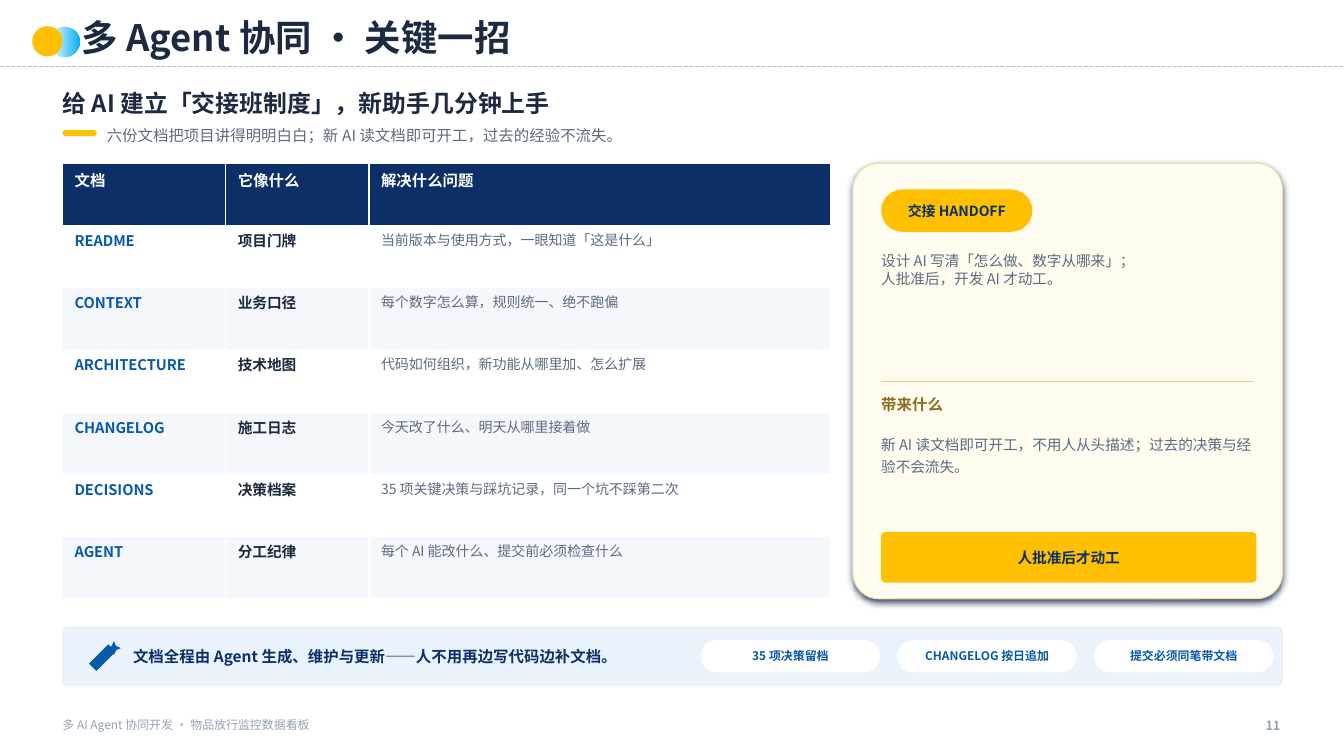
"""Build the slide on handover documents for multi-agent teamwork."""
from math import cos, pi, sin

from lxml.etree import SubElement
from pptx import Presentation
from pptx.dml.color import RGBColor
from pptx.enum.dml import MSO_LINE
from pptx.enum.shapes import MSO_CONNECTOR, MSO_SHAPE
from pptx.enum.text import MSO_ANCHOR, MSO_AUTO_SIZE, PP_ALIGN
from pptx.oxml.ns import qn
from pptx.util import Inches, Pt

FONT = "Noto Sans CJK SC"
WHITE = RGBColor(0xFF, 0xFF, 0xFF)
INK = RGBColor(0x1B, 0x2A, 0x41)
SLATE = RGBColor(0x5C, 0x6B, 0x82)
MUTED = RGBColor(0x97, 0xA2, 0xB3)
NAVY = RGBColor(0x0B, 0x2F, 0x66)
BLUE = RGBColor(0x08, 0x59, 0xA8)
SKY = RGBColor(0x01, 0xB0, 0xF0)
YELLOW = RGBColor(0xFF, 0xC0, 0x01)
BROWN = RGBColor(0x8A, 0x6D, 0x1F)
CREAM = RGBColor(0xFF, 0xFB, 0xEE)
SAND = RGBColor(0xF0, 0xDF, 0xA6)
DIVIDER = RGBColor(0xE4, 0xD2, 0x9A)
STRIPE = RGBColor(0xF4, 0xF7, 0xFC)
PALE_BLUE = RGBColor(0xEA, 0xF3, 0xFC)
PALE_LINE = RGBColor(0xCF, 0xE0, 0xF5)
GREY = RGBColor(0xBF, 0xBF, 0xBF)

LEFT, WIDTH = 0.62, 12.1
BODY_TOP, BODY_HEIGHT = 1.62, 4.32
CARD_LEFT, CARD_TEXT_LEFT, CARD_TEXT_WIDTH = 8.46, 8.74, 3.72
BAR_TOP, BAR_HEIGHT = 6.22, 0.58

presentation = Presentation()
presentation.slide_width, presentation.slide_height = Inches(13.33), Inches(7.5)
slide = presentation.slides.add_slide(presentation.slide_layouts[5])
shapes = slide.shapes


def write(shape, lines, size, color, bold=False, align=PP_ALIGN.LEFT,
          anchor=MSO_ANCHOR.MIDDLE, spacing=None):
    """Fill the shape with evenly formatted lines and no margins."""
    frame = shape.text_frame
    frame.text = lines
    frame.word_wrap, frame.auto_size = True, MSO_AUTO_SIZE.NONE
    frame.vertical_anchor = anchor
    frame.margin_left = frame.margin_right = frame.margin_top = frame.margin_bottom = 0
    for paragraph in frame.paragraphs:
        paragraph.alignment, paragraph.line_spacing = align, spacing
        font = paragraph.font
        font.name, font.size, font.bold = FONT, Pt(size), bold
        font.color.rgb = color
        SubElement(paragraph._p.pPr.find(qn("a:defRPr")), qn("a:ea"), typeface=FONT)


def add_panel(kind, left, top, width, height, fill, radius=None, line=None):
    """Add a flat filled shape, outlined only when a line colour is given."""
    shape = shapes.add_shape(kind, Inches(left), Inches(top), Inches(width), Inches(height))
    shape.shadow.inherit = False
    shape.fill.solid()
    shape.fill.fore_color.rgb = fill
    if radius is not None:
        shape.adjustments[0] = radius
    if line is None:
        shape.line.fill.background()
    else:
        shape.line.color.rgb = line
    return shape


for start, end, color, weight, dash in [
    ((0, 0.66), (13.33, 0.66), GREY, 1, MSO_LINE.SQUARE_DOT),
    ((0.92, 6.62), (1.11, 6.43), BLUE, 7.48, None),
]:
    connector = shapes.add_connector(MSO_CONNECTOR.STRAIGHT, *map(Inches, start + end))
    connector.line.color.rgb = color
    connector.line.width, connector.line.dash_style = Pt(weight), dash
    SubElement(connector._element.spPr, qn("a:effectLst"))
    if color == BLUE:
        pencil = connector

blue_dot = add_panel(MSO_SHAPE.OVAL, 0.49, 0.26, 0.3, 0.3, SKY)
blue_dot.fill.gradient()
blue_dot.fill.gradient_angle = 0
for stop in blue_dot.fill.gradient_stops:
    stop.color.rgb = SKY
fading_color = next(blue_dot._element.spPr.iter(qn("a:srgbClr")))
SubElement(fading_color, qn("a:alpha"), val="0")
add_panel(MSO_SHAPE.OVAL, 0.32, 0.26, 0.3, 0.3, YELLOW)

title = shapes.title
title.left, title.top, title.width, title.height = map(Inches, (0.81, 0.12, 8, 0.5))
write(title, "多 Agent 协同 · 关键一招", 26, INK, True)

add_panel(MSO_SHAPE.ROUNDED_RECTANGLE, LEFT, 1.29, 0.34, 0.06, YELLOW, 0.5)

table_frame = shapes.add_table(7, 3, Inches(LEFT), Inches(BODY_TOP), Inches(7.62), Inches(BODY_HEIGHT))
table = table_frame.table
for column, width in zip(table.columns, (1.62, 1.42, 4.58)):
    column.width = Inches(width)
documents = [
    ("文档", "它像什么", "解决什么问题"),
    ("README", "项目门牌", "当前版本与使用方式，一眼知道「这是什么」"),
    ("CONTEXT", "业务口径", "每个数字怎么算，规则统一、绝不跑偏"),
    ("ARCHITECTURE", "技术地图", "代码如何组织，新功能从哪里加、怎么扩展"),
    ("CHANGELOG", "施工日志", "今天改了什么、明天从哪里接着做"),
    ("DECISIONS", "决策档案", "35 项关键决策与踩坑记录，同一个坑不踩第二次"),
    ("AGENT", "分工纪律", "每个 AI 能改什么、提交前必须检查什么"),
]
column_styles = [(10.5, BLUE, True), (10.5, INK, True), (10, SLATE, False)]
for row, texts in enumerate(documents):
    for column, text in enumerate(texts):
        cell = table.cell(row, column)
        cell.text = text
        cell.margin_left, cell.margin_right = Inches(0.12), Inches(0.1)
        cell.margin_top = cell.margin_bottom = Inches(0.04 if row else 0.05)
        cell.fill.solid()
        cell.fill.fore_color.rgb = (WHITE if row % 2 else STRIPE) if row else NAVY
        size, color, bold = column_styles[column] if row else (11, WHITE, True)
        font = cell.text_frame.paragraphs[0].font
        font.name, font.size, font.bold = FONT, Pt(size), bold
        font.color.rgb = color

card = add_panel(MSO_SHAPE.ROUNDED_RECTANGLE, CARD_LEFT, BODY_TOP, 4.26, BODY_HEIGHT,
                 CREAM, 0.06, SAND)
card.line.width = Pt(0.75)
shadow = SubElement(card._element.spPr.find(qn("a:effectLst")), qn("a:outerShdw"),
                    blurRad=str(Pt(5)), dist=str(Pt(1.8)), dir="5400000", rotWithShape="0")
shadow_color = SubElement(shadow, qn("a:srgbClr"), val="0F2747")
SubElement(shadow_color, qn("a:alpha"), val="84000")

handoff = add_panel(MSO_SHAPE.ROUNDED_RECTANGLE, CARD_TEXT_LEFT, 1.88, 1.5, 0.42, YELLOW, 0.5)
write(handoff, "交接 HANDOFF", 10, NAVY, True, PP_ALIGN.CENTER)
add_panel(MSO_SHAPE.RECTANGLE, CARD_TEXT_LEFT, 3.78, 3.7, 0.01, DIVIDER)
approval = add_panel(MSO_SHAPE.ROUNDED_RECTANGLE, CARD_TEXT_LEFT, 5.28, CARD_TEXT_WIDTH, 0.5,
                     YELLOW, 0.08)
write(approval, "人批准后才动工", 10.5, NAVY, True, PP_ALIGN.CENTER)

bar = add_panel(MSO_SHAPE.ROUNDED_RECTANGLE, LEFT, BAR_TOP, WIDTH, BAR_HEIGHT,
                PALE_BLUE, 0.08, PALE_LINE)
bar.line.width = Pt(0.1)
bar._element.addnext(pencil._element)

star_points = []
for corner in range(8):
    radius = 0.03 if corner % 2 else 0.07
    angle = corner * pi / 4
    star_points.append((Inches(1.13 + radius * sin(angle)), Inches(6.43 - radius * cos(angle))))
builder = shapes.build_freeform(*star_points[0])
builder.add_line_segments(star_points[1:], close=True)
star = builder.convert_to_shape()
star.shadow.inherit = False
star.fill.solid()
star.fill.fore_color.rgb = BLUE
star.line.fill.background()

for index, label in enumerate(("35 项决策留档", "CHANGELOG 按日追加", "提交必须同笔带文档")):
    pill = add_panel(MSO_SHAPE.ROUNDED_RECTANGLE, 6.95 + 1.95 * index, 6.35, 1.78, 0.32, WHITE, 0.5)
    write(pill, label, 8.5, BLUE, True, PP_ALIGN.CENTER)

MIDDLE, TOP = MSO_ANCHOR.MIDDLE, MSO_ANCHOR.TOP
START, END = PP_ALIGN.LEFT, PP_ALIGN.RIGHT
for left, top, width, height, text, size, color, bold, align, anchor, spacing in [
    (LEFT, 0.82, WIDTH, 0.4, "给 AI 建立「交接班制度」，新助手几分钟上手", 17, INK, True, START, MIDDLE, None),
    (1.06, 1.2, 11.6, 0.28, "六份文档把项目讲得明明白白；新 AI 读文档即可开工，过去的经验不流失。",
     11, SLATE, False, START, MIDDLE, None),
    (CARD_TEXT_LEFT, 2.5, CARD_TEXT_WIDTH, 1.2, "设计 AI 写清「怎么做、数字从哪来」；\n人批准后，开发 AI 才动工。",
     10.5, SLATE, False, START, TOP, None),
    (CARD_TEXT_LEFT, 3.92, CARD_TEXT_WIDTH, 0.3, "带来什么", 11, BROWN, True, START, TOP, None),
    (CARD_TEXT_LEFT, 4.28, CARD_TEXT_WIDTH, 0.9, "新 AI 读文档即可开工，不用人从头描述；过去的决策与经验不会流失。",
     10.5, SLATE, False, START, TOP, 1.25),
    (1.32, BAR_TOP, 5.2, BAR_HEIGHT, "文档全程由 Agent 生成、维护与更新——人不用再边写代码边补文档。",
     11, NAVY, True, START, MIDDLE, None),
    (LEFT, 7.12, 7.5, 0.28, "多 AI Agent 协同开发 · 物品放行监控数据看板", 8.5, MUTED, False, START, TOP, None),
    (11.9, 7.12, 0.8, 0.28, "11", 9, MUTED, True, END, TOP, None),
]:
    box = shapes.add_textbox(Inches(left), Inches(top), Inches(width), Inches(height))
    write(box, text, size, color, bold, align, anchor, spacing)

presentation.save("out.pptx")
